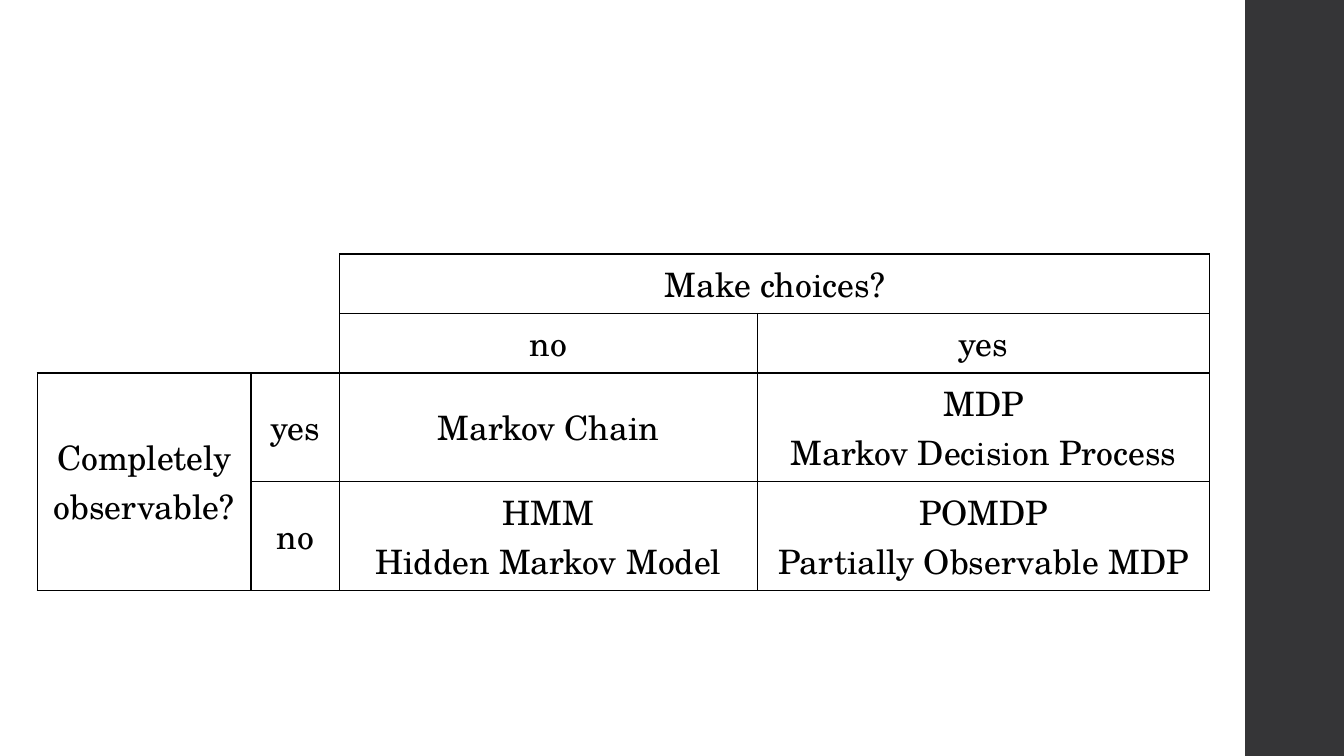
from dataclasses import dataclass

from lxml import etree
from pptx import Presentation
from pptx import util as u
from pptx.dml import color
from pptx.enum import shapes, text
from pptx.oxml import ns


@dataclass(frozen=True)
class Theme:
    ink: str = "000000"
    strip: str = "353537"
    font: str = "TeX Gyre Schola"
    size: int = 24
    border: int = 1


theme = Theme()
PLAIN_TABLE_STYLE = "{2D5ABB26-0587-4C30-8999-92F81FD0307C}"


def add_borders(cell, sides):
    properties = cell._tc.get_or_add_tcPr()
    for side in sides:
        line = etree.SubElement(properties, ns.qn(f"a:ln{side}"), w=str(u.Pt(theme.border)))
        fill = etree.SubElement(line, ns.qn("a:solidFill"))
        etree.SubElement(fill, ns.qn("a:srgbClr"), val=theme.ink)


presentation = Presentation()
presentation.slide_width = u.Inches(13.33)
presentation.slide_height = u.Inches(7.5)
slide = presentation.slides.add_slide(presentation.slide_layouts[6])

# Dark strip at the right edge
strip = slide.shapes.add_shape(
    shapes.MSO_SHAPE.RECTANGLE, u.Inches(12.35), 0, u.Inches(0.98), presentation.slide_height)
strip.shadow.inherit = False
strip.fill.solid()
strip.fill.fore_color.rgb = color.RGBColor.from_string(theme.strip)
strip.line.fill.background()

# Table of Markov models
column_widths = [2.12, 0.88, 4.14, 4.49]
row_heights = [0.59, 0.59, 1.08, 1.08]
labels = [
    ["", "", "Make choices?", ""],
    ["", "", "no", "yes"],
    ["Completely observable?", "yes", "Markov Chain", "MDP\nMarkov Decision Process"],
    ["", "no", "HMM\nHidden Markov Model", "POMDP\nPartially Observable MDP"],
]
table_frame = slide.shapes.add_table(
    len(row_heights), len(column_widths), u.Inches(0.37), u.Inches(2.52),
    u.Inches(sum(column_widths)), u.Inches(sum(row_heights)))
table = table_frame.table
table.first_row = table.horz_banding = False
table._tbl.tblPr.find(ns.qn("a:tableStyleId")).text = PLAIN_TABLE_STYLE
for column, width in zip(table.columns, column_widths):
    column.width = u.Inches(width)
for row, height in zip(table.rows, row_heights):
    row.height = u.Inches(height)

# Merged corner and headings
for first, last in [((0, 0), (1, 1)), ((0, 2), (0, 3)), ((2, 0), (3, 0))]:
    table.cell(*first).merge(table.cell(*last))

# Cell borders and text
font_format = {"name": theme.font, "size": u.Pt(theme.size)}
for row_index, row_labels in enumerate(labels):
    for column_index, label in enumerate(row_labels):
        cell = table.cell(row_index, column_index)
        in_corner = row_index < 2 and column_index < 2
        if not in_corner:
            add_borders(cell, "LRTB")
        elif cell.is_merge_origin:
            add_borders(cell, "RB")
        cell.fill.background()
        cell.vertical_anchor = text.MSO_ANCHOR.MIDDLE if row_index else text.MSO_ANCHOR.TOP
        if not label:
            continue
        cell.text = label
        for paragraph in cell.text_frame.paragraphs:
            paragraph.alignment = text.PP_ALIGN.CENTER
            font = paragraph.runs[0].font
            for name, value in font_format.items():
                setattr(font, name, value)
            font.color.rgb = color.RGBColor.from_string(theme.ink)

presentation.save("out.pptx")
